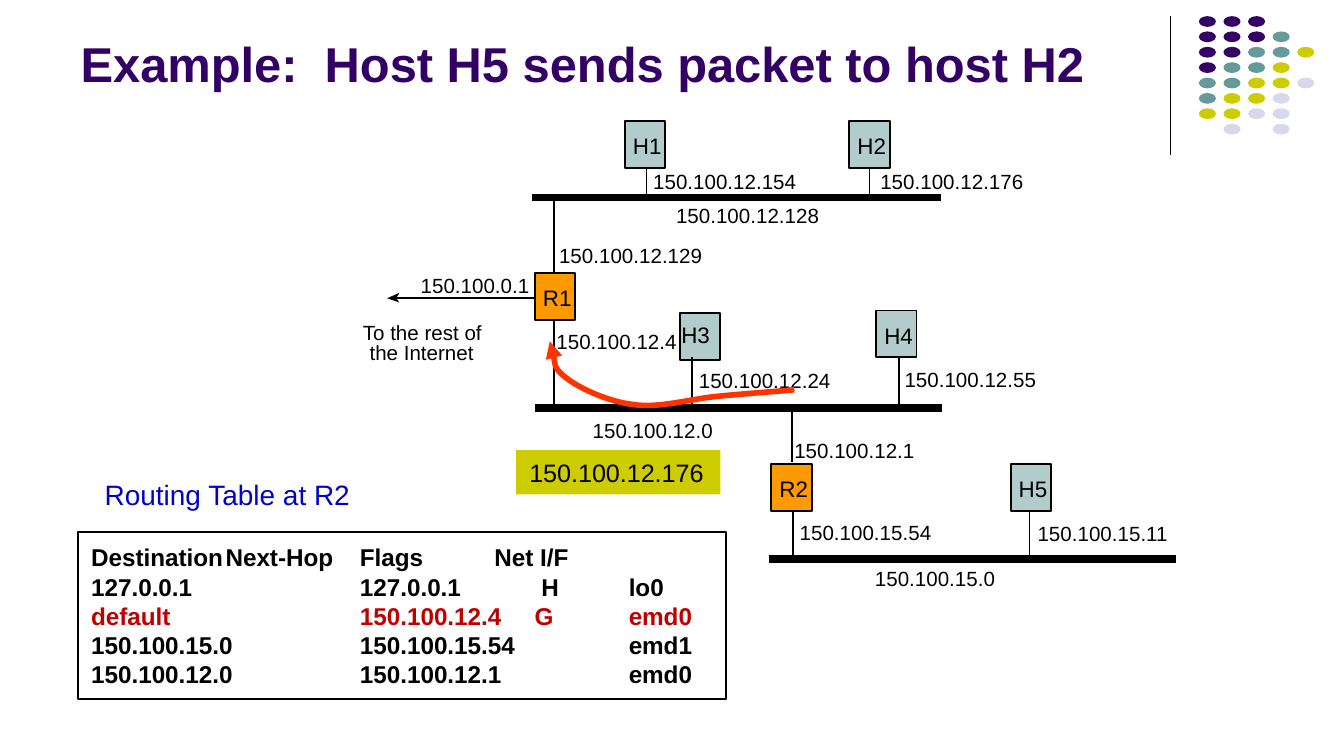
from collections import namedtuple
from itertools import chain

from lxml.etree import SubElement
from pptx import Presentation
from pptx.dml.color import RGBColor
from pptx.enum.shapes import MSO_CONNECTOR as CONN, MSO_SHAPE as SHAPE
from pptx.enum.text import MSO_ANCHOR as ANCHOR, PP_ALIGN as ALIGN
from pptx.oxml.ns import qn
from pptx.util import Inches, Pt

Box = namedtuple("Box", "x y w h")
BLACK, PURPLE, TEAL, OLIVE = "000000", "330066", "669999", "CCCC00"
ROUTER, HOST = "FF9900", "B1CCCB"


def grid(n):
    """Length of n grid cells, with 100 columns across the slide."""
    return Inches(round(n / 10, 3))


def place(box, x, y, w, h):
    """Cell rectangle inside a box, as slide lengths."""
    return [grid(n) for n in (box.x + x, box.y + y, w, h)]


def rgb(color):
    """Colour object for a hex string."""
    return RGBColor.from_string(color)


def paint(sp, fill=None, line=None, width=1):
    """Set fill and outline, with no shadow."""
    sp.shadow.inherit = False
    if fill:
        sp.fill.solid()
        sp.fill.fore_color.rgb = rgb(fill)
    else:
        sp.fill.background()
    if line:
        sp.line.color.rgb = rgb(line)
        sp.line.width = Pt(width)
    else:
        sp.line.fill.background()


def write(p, text, size, color=BLACK, bold=False):
    """Add one left-aligned run to a paragraph."""
    p.alignment = ALIGN.LEFT
    r = p.add_run()
    r.text = text
    r.font.name, r.font.size, r.font.bold = "Arial", Pt(size), bold
    r.font.color.rgb = rgb(color)


def frame(sp, left, top, anchor=ANCHOR.TOP):
    """Text frame with insets given in cells."""
    tf = sp.text_frame
    tf.word_wrap, tf.vertical_anchor = True, anchor
    tf.margin_left, tf.margin_top = grid(left), grid(top)
    tf.margin_right, tf.margin_bottom = 0, 0
    return tf


def add_line(shapes, box, x1, y1, x2, y2, width=1):
    """Straight black line between two cells of a box."""
    ends = [grid(n) for n in (box.x + x1, box.y + y1, box.x + x2, box.y + y2)]
    c = shapes.add_connector(CONN.STRAIGHT, *ends)
    c.line.color.rgb, c.line.width = rgb(BLACK), Pt(width)
    SubElement(c._element.spPr, qn("a:effectLst"))


def add_outline(shapes, box, points, close):
    """Freeform through cells of a box."""
    start, *rest = [(grid(box.x + x), grid(box.y + y)) for x, y in points]
    fb = shapes.build_freeform(*start, scale=1.0)
    fb.add_line_segments(rest, close=close)
    return fb.convert_to_shape()


def add_dots(shapes, box):
    """Coloured dot pattern in the corner."""
    colors = {"P": PURPLE, "T": TEAL, "Y": OLIVE, "L": "D8D8EC"}
    rows = "PPP PPPT PPTTY PTTY TTYYL TYYL YYLL .L.L".split()
    group = shapes.add_group_shape().shapes
    for j, row in enumerate(rows):
        for i, key in enumerate(row):
            if key in colors:
                at = place(box, i * box.w / 5, j * box.h / 8, 1.27, 0.8)
                paint(group.add_shape(SHAPE.OVAL, *at), colors[key])


def add_title(sp, box, text):
    """Move and format the title placeholder."""
    sp.left, sp.top, sp.width, sp.height = place(box, 0, 0, box.w, box.h)
    write(frame(sp, 1, 0.5, ANCHOR.BOTTOM).paragraphs[0], text, 26.2, PURPLE, True)
    sp.text_frame.margin_bottom = grid(0.5)


def add_network(shapes, box):
    """Three networks with their routers, hosts and addresses."""
    shapes = shapes.add_group_shape().shapes
    buses = [(12.6, 5.7, 43), (12.8, 21.35, 43.1), (30.2, 32.6, 60.5)]
    for x1, y, x2 in buses:
        add_line(shapes, box, x1, y, x2, y, 4.13)
    nodes = [("R1", 12.8, 11.3), ("H1", 19.5, 0), ("H2", 36.2, 0), ("H3", 23.6, 14.3),
             ("H4", 38.2, 14.1), ("R2", 30.4, 25.5), ("H5", 48.2, 25.5)]
    for name, x, y in nodes:
        sp = shapes.add_shape(SHAPE.RECTANGLE, *place(box, x, y, 3, 3.5))
        paint(sp, ROUTER if name[0] == "R" else HOST, BLACK)
        inset = (0.1, 0.6) if name == "H3" else (0.6, 0.85)
        write(frame(sp, *inset).paragraphs[0], name, 12)
    links = [(14.2, 5.7, 11.3), (14.2, 14.8, 21.3), (24.5, 17.6, 21.4),
             (39.9, 17.6, 21.5), (21.1, 3.6, 5.9), (37.7, 3.6, 5.9),
             (31.9, 21.5, 25.4), (32, 29, 32.8), (49.6, 29, 32.6)]
    for x, y1, y2 in links:
        add_line(shapes, box, x, y1, x, y2)
    add_line(shapes, box, 12.8, 13.2, 2.5, 13.2)
    head = [(2.7, 12.8), (2.5, 13.2), (2.7, 13.5), (1.8, 13.2)]
    paint(add_outline(shapes, box, head, True), BLACK)
    labels = [("To the rest of", 0, 14.8), ("the Internet", 0.5, 16.3),
              ("150.100.0.1", 4.3, 11.3), ("150.100.12.128", 23.3, 6.1),
              ("150.100.12.0", 17.1, 22.1), ("150.100.12.176", 38.5, 3.6),
              ("150.100.12.154", 21.6, 3.6), ("150.100.12.24", 25, 18.4),
              ("150.100.12.55", 40.3, 18.3), ("150.100.12.1", 32.1, 23.6),
              ("150.100.15.54", 32.5, 29.7), ("150.100.15.0", 38.1, 33.1),
              ("150.100.15.11", 50.2, 29.8), ("150.100.12.129", 14.6, 9.1),
              ("150.100.12.4", 14.4, 15.5)]
    for text, x, y in labels:
        sp = shapes.add_textbox(*place(box, x, y, 0.85 * len(text) - 1, 1.9))
        write(frame(sp, 0, 0).paragraphs[0], text, 11)


def add_routing_table(shapes, box):
    """Outlined routing entries, set on tab stops."""
    rows = [("Destination\tNext-Hop\tFlags\tNet I/F", (10, 20, 30), BLACK),
            ("127.0.0.1\t\t127.0.0.1\tH\tlo0", (10, 20, 33.5, 40), BLACK),
            ("default\t\t150.100.12.4\tG\temd0", (10, 20, 33, 40), "C00000"),
            ("150.100.15.0\t150.100.15.54\temd1", (20, 40), BLACK),
            ("150.100.12.0\t150.100.12.1\temd0", (20, 40), BLACK)]
    sp = shapes.add_shape(SHAPE.RECTANGLE, *place(box, 0, 0, box.w, box.h))
    paint(sp, None, BLACK)
    tf = frame(sp, 1, 0, ANCHOR.MIDDLE)
    for i, (text, stops, color) in enumerate(rows):
        p = tf.add_paragraph() if i else tf.paragraphs[0]
        tabs = SubElement(p._p.get_or_add_pPr(), qn("a:tabLst"))
        for n in stops:
            SubElement(tabs, qn("a:tab"), pos=str(grid(n)), algn="l")
        write(p, text, 13, color, True)


def add_caption(shapes, box, text):
    """Heading above the routing table."""
    sp = shapes.add_textbox(*place(box, 0, 0, box.w, box.h))
    write(frame(sp, 1, 0.45).paragraphs[0], text, 15, "0000CC")


def add_route(shapes, box):
    """Curved arrow from R2 to R1."""
    points = [(32.1, 20), (31.2, 20.1), (28.3, 20.3), (26.3, 20.5), (24.3, 20.7),
              (22, 21.4), (20.1, 21.1), (18.3, 20.9), (16.1, 19.9), (15.1, 19.1),
              (14.1, 18.3), (14.2, 17), (13.9, 16.4)]
    sp = add_outline(shapes, box, points, False)
    paint(sp, None, "FF3300", 3)
    SubElement(sp.line._get_or_add_ln(), qn("a:tailEnd"), type="triangle")
    outline = next(sp._element.iter(qn("a:path")))
    segments = outline.findall(qn("a:lnTo"))
    for i in range(0, len(segments), 3):
        trio = segments[i:i + 3]
        curve = SubElement(outline, qn("a:cubicBezTo"))
        curve.extend(list(chain.from_iterable(trio)))
        for segment in trio:
            outline.remove(segment)


def add_packet(shapes, box, text):
    """Packet label with its destination address."""
    sp = shapes.add_shape(SHAPE.RECTANGLE, *place(box, 0, 0, box.w, box.h))
    paint(sp, OLIVE)
    write(frame(sp, 1, 0, ANCHOR.MIDDLE).paragraphs[0], text, 13.5)


def main():
    """Build the slide and save it."""
    prs = Presentation()
    prs.slide_width, prs.slide_height = grid(100), grid(56.25)
    s = prs.slides.add_slide(prs.slide_layouts[5])
    network = Box(27, 9, 60.5, 35)
    add_line(s.shapes, Box(87.1, 1.2, 0, 10.3), 0, 0, 0, 10.3, 0.75)
    add_dots(s.shapes, Box(89.2, 1.2, 9.15, 9.15))
    add_title(s.shapes.title, Box(5, 1, 82.5, 6.4),
              "Example:  Host H5 sends packet to host H2")
    add_network(s.shapes, network)
    add_routing_table(s.shapes, Box(5.8, 39.6, 48.2, 12.4))
    add_caption(s.shapes, Box(6.8, 35.1, 20.5, 3.5), "Routing Table at R2")
    add_route(s.shapes, network)
    add_packet(s.shapes, Box(38.4, 33.5, 15.2, 3.3), "150.100.12.176")
    prs.save("out.pptx")


if __name__ == "__main__":
    main()
